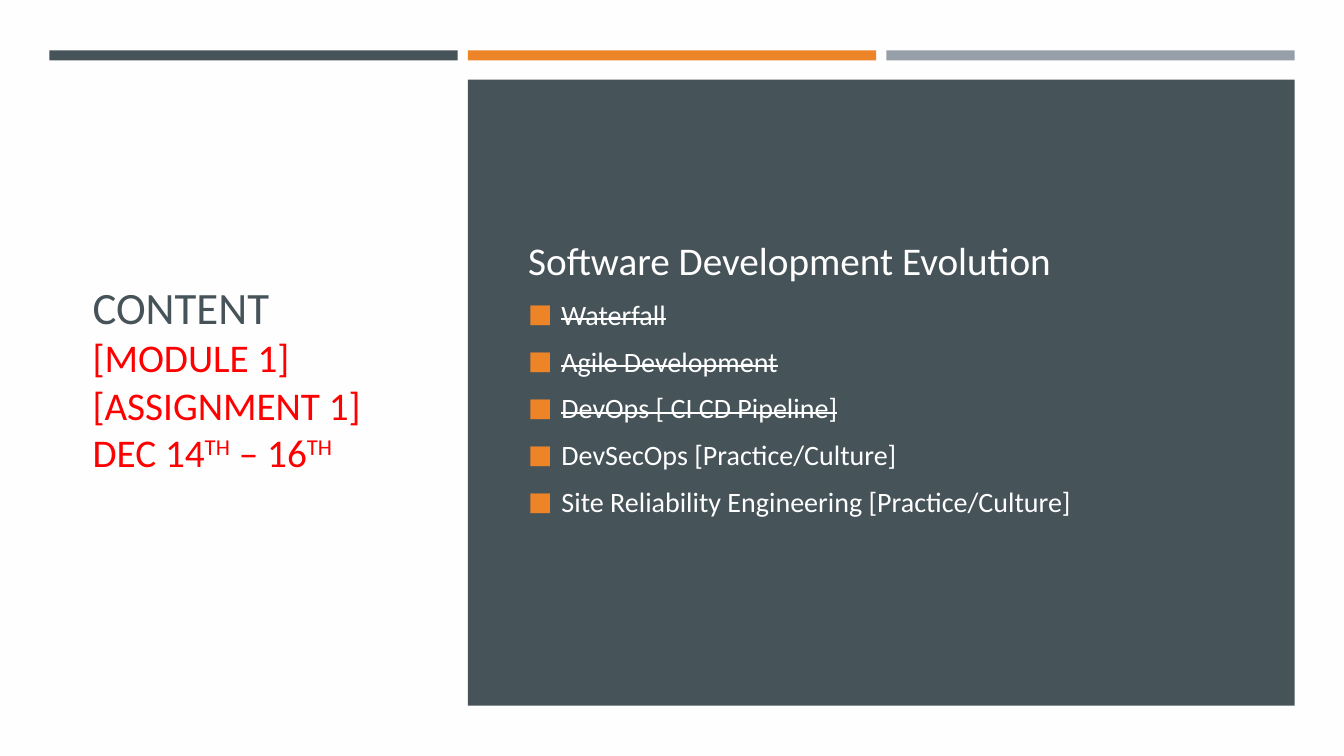
import pptx
import pptx.util
import pptx.dml.color
import pptx.enum.shapes
import pptx.enum.text
import lxml.etree

Inches = pptx.util.Inches
Pt = pptx.util.Pt

WHITE = "FFFFFF"
PAPER = "FFFEFF"
BACKDROP = "3D3D3D"
SLATE = "465359"
ORANGE = "ED8428"
GREY = "969FA7"
RED = "FF0000"


def rgb(color):
    """Turn a hex string into a colour."""
    return pptx.dml.color.RGBColor.from_string(color)


def add_rect(slide, left, top, width, height, color):
    """Draw a plain filled rectangle."""
    sp = slide.shapes.add_shape(
        pptx.enum.shapes.MSO_SHAPE.RECTANGLE,
        Inches(left), Inches(top), Inches(width), Inches(height))
    sp.shadow.inherit = False
    sp.fill.solid()
    sp.fill.fore_color.rgb = rgb(color)
    sp.line.fill.background()
    return sp


def add_frame(slide, left, top, width, height):
    """Add a wrapping, vertically centred text box and return its frame."""
    sp = slide.shapes.add_textbox(
        Inches(left), Inches(top), Inches(width), Inches(height))
    tf = sp.text_frame
    tf.word_wrap = True
    tf.vertical_anchor = pptx.enum.text.MSO_ANCHOR.MIDDLE
    return tf


def add_text(p, text, size=20, color=WHITE, strike=False, raised=False):
    """Append formatted text to a paragraph, breaking lines at newlines."""
    for i, line in enumerate(text.split("\n")):
        if i:
            p.add_line_break()
        if not line:
            continue
        r = p.add_run()
        r.text = line
        r.font.name = "Calibri"
        r.font.size = Pt(size)
        r.font.color.rgb = rgb(color)
        if strike:
            r.font._element.set("strike", "sngStrike")
        if raised:
            r.font._element.set("baseline", "30000")


def add_bullet(p, color, indent=0.33):
    """Give a paragraph a hanging square bullet."""
    pPr = p._p.get_or_add_pPr()
    pPr.set("marL", str(Inches(indent)))
    pPr.set("indent", str(-Inches(indent)))
    ns = "{http://schemas.openxmlformats.org/drawingml/2006/main}"
    bu_color = lxml.etree.SubElement(pPr, ns + "buClr")
    lxml.etree.SubElement(bu_color, ns + "srgbClr", val=color)
    lxml.etree.SubElement(pPr, ns + "buSzPct", val="92000")
    lxml.etree.SubElement(pPr, ns + "buFont", typeface="Calibri")
    lxml.etree.SubElement(pPr, ns + "buChar", char="■")


def add_top_bars(slide, left, top, width, height, gap=0.1):
    """Draw the row of equal colour bars across the top."""
    colors = (SLATE, ORANGE, GREY)
    bar = (width - gap * (len(colors) - 1)) / len(colors)
    for i, color in enumerate(colors):
        add_rect(slide, left + i * (bar + gap), top, bar, height, color)


def add_title(slide, left, top, width, height):
    """Write the title with module, assignment and dates."""
    p = add_frame(slide, left, top, width, height).paragraphs[0]
    add_text(p, "CONTENT\n", size=32, color=SLATE)
    add_text(p, "[MODULE 1]\n[ASSIGNMENT 1]\nDEC 14", size=28, color=RED)
    add_text(p, "TH", size=28, color=RED, raised=True)
    add_text(p, " – 16", size=28, color=RED)
    add_text(p, "TH", size=28, color=RED, raised=True)


def add_topics_panel(slide, left, top, width, height):
    """Draw the dark panel with its heading and topic list."""
    add_rect(slide, left, top, width, height, SLATE)
    tf = add_frame(slide, left + 0.5, top + 0.38, width - 0.98, height - 1.06)
    p = tf.paragraphs[0]
    p.space_before, p.space_after = Pt(5), Pt(6)
    add_text(p, "Software Development Evolution", size=28)
    topics = (
        ("Waterfall", True),
        ("Agile Development", True),
        ("DevOps [ CI CD Pipeline]", True),
        ("DevSecOps [Practice/Culture]", False),
        ("Site Reliability Engineering [Practice/Culture]", False),
    )
    for topic, done in topics:
        p = tf.add_paragraph()
        p.space_before, p.space_after = Pt(3.5), Pt(6)
        add_bullet(p, ORANGE)
        add_text(p, topic, strike=done)


def main():
    """Build the slide and save it."""
    prs = pptx.Presentation()
    prs.slide_width, prs.slide_height = Inches(13.33), Inches(7.5)
    slide = prs.slides.add_slide(prs.slide_layouts[6])
    slide.background.fill.solid()
    slide.background.fill.fore_color.rgb = rgb(BACKDROP)
    add_rect(slide, 0, 0, 13.33, 7.5, PAPER)
    add_title(slide, 0.82, 1.17, 3.34, 5.15)
    add_top_bars(slide, 0.49, 0.5, 12.35, 0.1)
    add_topics_panel(slide, 4.64, 0.79, 8.2, 6.21)
    prs.save("out.pptx")


if __name__ == "__main__":
    main()
